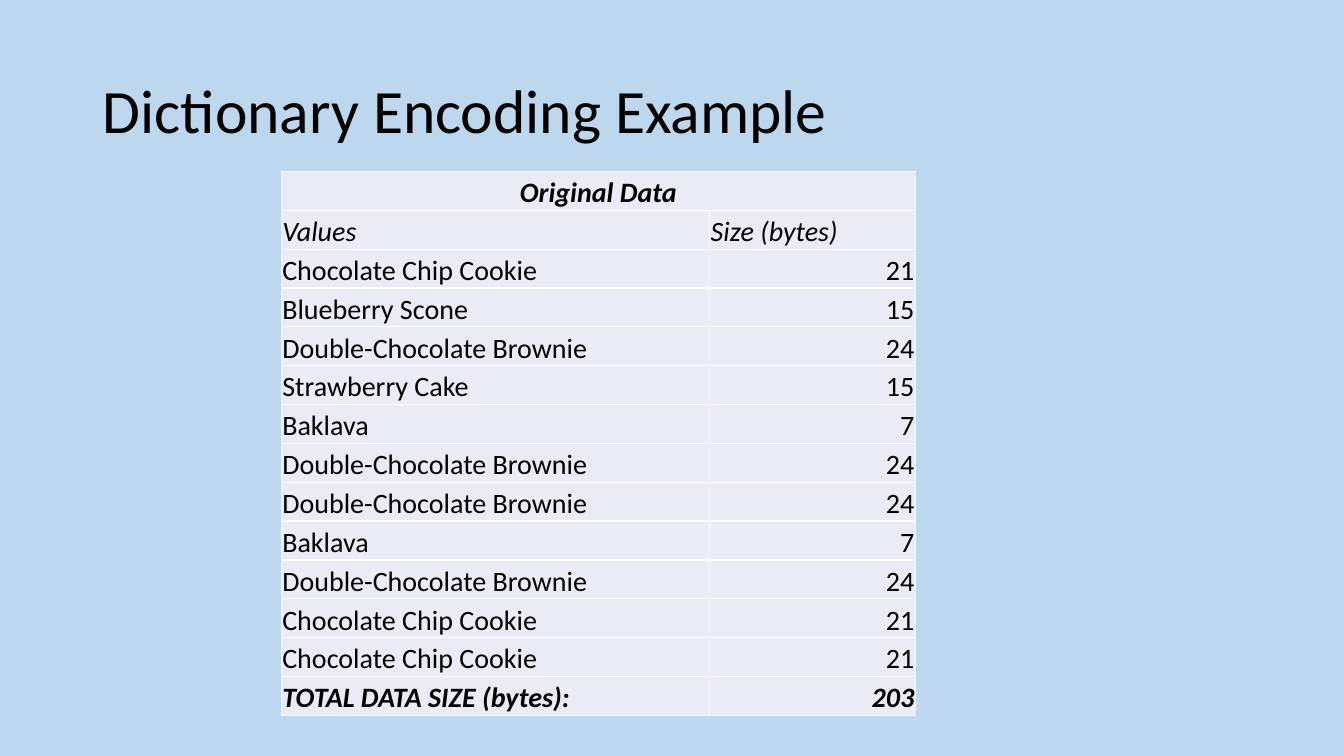
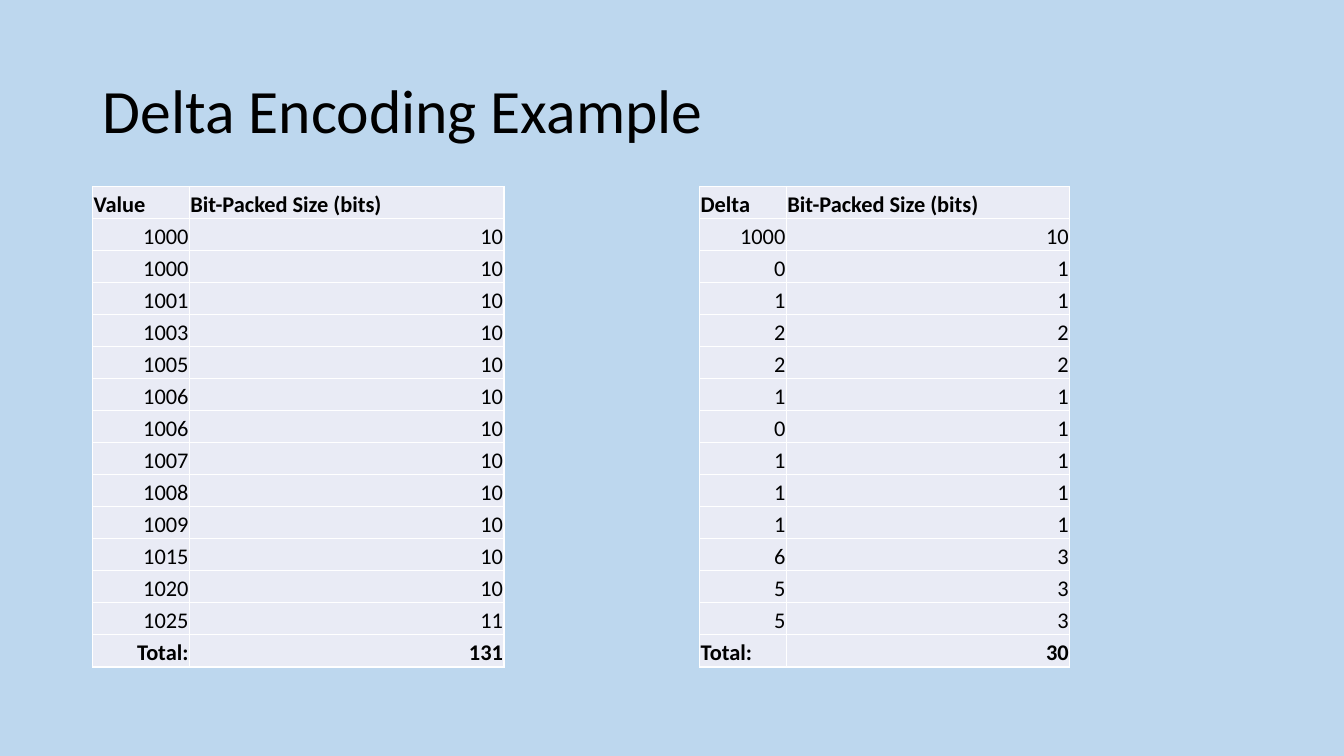
import dataclasses
import itertools
import typing

import lxml.etree
import pptx
import pptx.dml.color
import pptx.enum.text
import pptx.oxml.ns
import pptx.util

# Shared look
HUES = {"back": "BDD7EE", "cell": "E9EBF5", "edge": "FFFFFF", "text": "000000"}
FONT = "Calibri"
WIDE, HIGH = pptx.util.Inches(13.33), pptx.util.Inches(7.5)
SIDES = {
    "l": pptx.enum.text.PP_ALIGN.LEFT,
    "c": pptx.enum.text.PP_ALIGN.CENTER,
    "r": pptx.enum.text.PP_ALIGN.RIGHT,
}
INSET = pptx.util.Inches(0.01)
CELL = {
    "margin_left": INSET,
    "margin_right": INSET,
    "margin_top": INSET,
    "margin_bottom": 0,
    "vertical_anchor": pptx.enum.text.MSO_ANCHOR.BOTTOM,
}
PLAIN = {"bold": False, "italic": False}
BOLD = {"bold": True, "italic": False}
SLANT = {"bold": False, "italic": True}
BOTH = {"bold": True, "italic": True}


@dataclasses.dataclass
class Row:
    texts: tuple[str, ...]
    sides: str = "lr"
    style: dict[str, bool] = dataclasses.field(default_factory=lambda: PLAIN)


@dataclasses.dataclass
class Grid:
    """Lengths are percentages of the slide's width or height."""
    left: float
    top: float
    cols: tuple[float, ...]
    row: float
    size: int
    rows: list[Row]


def across(share: float) -> int:
    return round(WIDE * share / 100)


def down(share: float) -> int:
    return round(HIGH * share / 100)


def assign(item: typing.Any, values: dict[str, typing.Any]) -> None:
    for name, value in values.items():
        setattr(item, name, value)


def hue(name: str) -> pptx.dml.color.RGBColor:
    return pptx.dml.color.RGBColor.from_string(HUES[name])


def style_font(font: typing.Any, size: int, style: dict[str, bool]) -> None:
    assign(font, {"name": FONT, "size": pptx.util.Pt(size), **style})
    font.color.rgb = hue("text")


def add_edges(cell: typing.Any) -> None:
    props = cell._tc.get_or_add_tcPr()
    qn = pptx.oxml.ns.qn
    for side in ("lnL", "lnR", "lnT", "lnB"):
        line = lxml.etree.SubElement(props, qn(f"a:{side}"), w=str(pptx.util.Pt(1)))
        fill = lxml.etree.SubElement(line, qn("a:solidFill"))
        lxml.etree.SubElement(fill, qn("a:srgbClr"), val=HUES["edge"])


def draw_grid(slide: typing.Any, grid: Grid) -> None:
    count = len(grid.rows)
    table = slide.shapes.add_table(
        count, len(grid.cols), across(grid.left), down(grid.top),
        across(sum(grid.cols)), down(grid.row * count),
    ).table
    assign(table, {"first_row": False, "horz_banding": False})
    for col, share in zip(table.columns, grid.cols):
        col.width = across(share)
    for y, row in enumerate(grid.rows):
        table.rows[y].height = down(grid.row)
        for x in range(len(grid.cols)):
            cell = table.cell(y, x)
            assign(cell, CELL)
            add_edges(cell)
            cell.fill.solid()
            cell.fill.fore_color.rgb = hue("cell")
        for x, (text, side) in enumerate(zip(row.texts, row.sides)):
            para = table.cell(y, x).text_frame.paragraphs[0]
            para.alignment = SIDES[side]
            run = para.add_run()
            run.text = text
            style_font(run.font, grid.size, row.style)
        # A lone text spans the whole row
        if len(row.texts) == 1:
            table.cell(y, 0).merge(table.cell(y, len(grid.cols) - 1))


def add_slide(deck: typing.Any, title: str, grids: list[Grid]) -> None:
    slide = deck.slides.add_slide(deck.slide_layouts[5])
    head = slide.shapes.title
    assign(head, {
        "left": across(6.9), "top": down(5.33),
        "width": across(86.25), "height": down(19.33),
    })
    head.text_frame.text = title
    head.text_frame.vertical_anchor = pptx.enum.text.MSO_ANCHOR.MIDDLE
    para = head.text_frame.paragraphs[0]
    assign(para, {"alignment": SIDES["l"], "line_spacing": 0.9})
    style_font(para.runs[0].font, 44, PLAIN)
    for grid in grids:
        draw_grid(slide, grid)


# Dictionary example: one byte per letter
COOKIE, BROWNIE = "Chocolate Chip Cookie", "Double-Chocolate Brownie"
SWEETS = [
    COOKIE, "Blueberry Scone", BROWNIE, "Strawberry Cake", "Baklava", BROWNIE,
    BROWNIE, "Baklava", BROWNIE, COOKIE, COOKIE,
]


def sweet_rows() -> list[Row]:
    return [
        Row(("Original Data",), "c", BOTH),
        Row(("Values", "Size (bytes)"), "ll", SLANT),
        *(Row((name, str(len(name)))) for name in SWEETS),
        Row(("TOTAL DATA SIZE (bytes):", str(sum(map(len, SWEETS)))), "lr", BOTH),
    ]


# Delta example: each number needs at least one bit
VALUES = [1000, 1000, 1001, 1003, 1005, 1006, 1006, 1007, 1008, 1009, 1015, 1020, 1025]
DELTAS = VALUES[:1] + [b - a for a, b in itertools.pairwise(VALUES)]


def bit_rows(head: str, nums: list[int], side: str) -> list[Row]:
    bits = [max(1, num.bit_length()) for num in nums]
    return [
        Row((head, "Bit-Packed Size (bits)"), "ll", BOLD),
        *(Row((str(num), str(bit)), "rr") for num, bit in zip(nums, bits)),
        Row(("Total:", str(sum(bits))), side + "r", BOLD),
    ]


def main() -> None:
    deck = pptx.Presentation()
    assign(deck, {"slide_width": WIDE, "slide_height": HIGH})
    back = deck.slide_master.background.fill
    back.solid()
    back.fore_color.rgb = hue("back")

    add_slide(deck, "Dictionary Encoding Example", [
        Grid(20.93, 22.67, (31.88, 15.3), 5.14, 20, sweet_rows()),
    ])
    add_slide(deck, "Delta Encoding Example", [
        Grid(6.9, 24.67, (7.2, 23.4), 4.24, 16, bit_rows("Value", VALUES, "r")),
        Grid(52.06, 24.67, (6.45, 21.08), 4.24, 16, bit_rows("Delta", DELTAS, "l")),
    ])
    deck.save("out.pptx")


if __name__ == "__main__":
    main()
